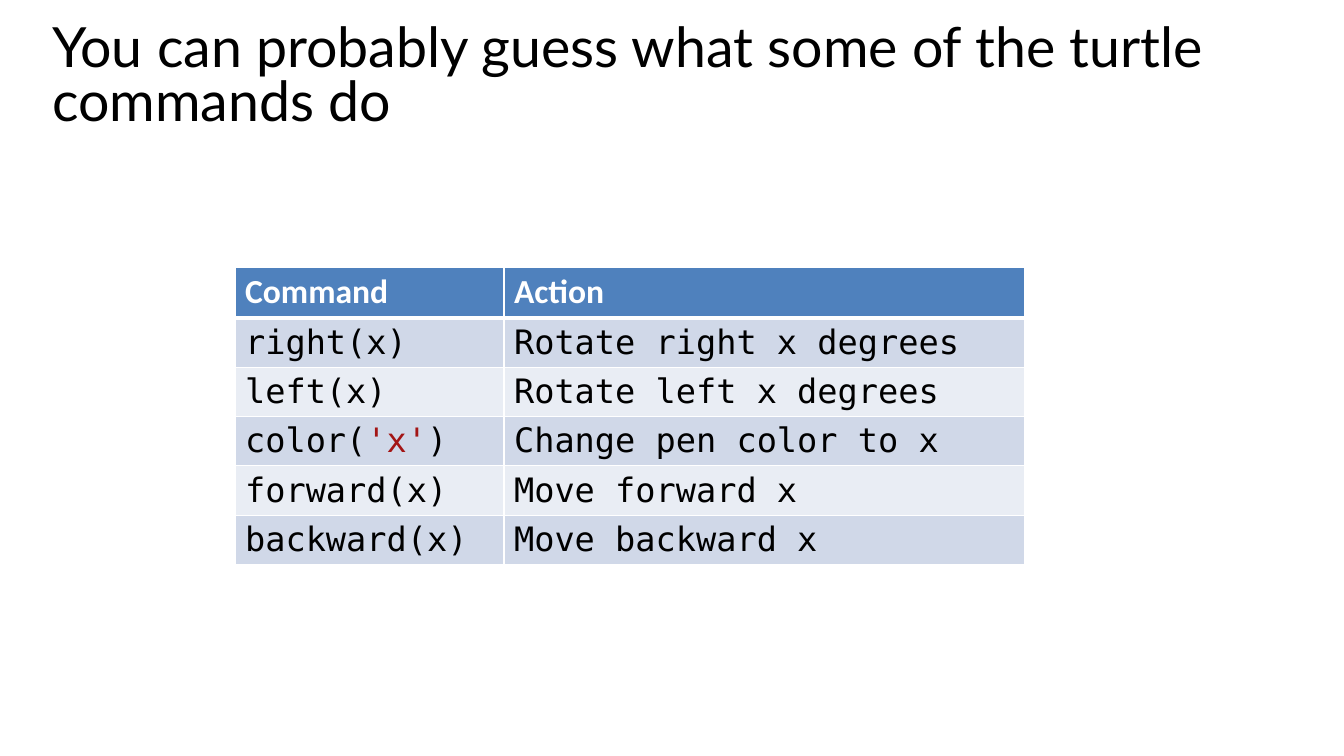
from pptx import Presentation
from pptx.dml.color import RGBColor
from pptx.enum.text import MSO_ANCHOR, MSO_AUTO_SIZE, PP_ALIGN
from pptx.oxml import parse_xml
from pptx.oxml.ns import nsdecls
from pptx.util import Pt

PX = 914400 / 100.8


def px(n):
    """Turn pixels into EMU."""
    return round(n * PX)


def add_run(p, text, font, size, color, bold=False):
    """Add one formatted run to a paragraph."""
    r = p.add_run()
    r.text = text
    r.font.name, r.font.size, r.font.bold = font, Pt(size), bold
    r.font.color.rgb = RGBColor.from_string(color)


prs = Presentation()
prs.slide_width, prs.slide_height = px(1344), px(756)
s = prs.slides.add_slide(prs.slide_layouts[5])

# Title
title = s.shapes.title
title.left, title.top, title.width, title.height = px(42), px(20), px(1270), px(117)
tf = title.text_frame
tf.word_wrap = True
tf.auto_size = MSO_AUTO_SIZE.NONE
tf.vertical_anchor = MSO_ANCHOR.MIDDLE
p = tf.paragraphs[0]
p.alignment = PP_ALIGN.LEFT
p.line_spacing = 0.8
add_run(p, "You can probably guess what some of the turtle commands do",
        "Lato", 39.6, "000000")

# Table of commands; each cell is a list of text pieces, quoted ones in red
rows = [
    (["Command"], ["Action"]),
    (["right(x)"], ["Rotate right x degrees"]),
    (["left(x)"], ["Rotate left x degrees"]),
    (["color(", "'x'", ")"], ["Change pen color to x"]),
    (["forward(x)"], ["Move forward x"]),
    (["backward(x)"], ["Move backward x"]),
]
frame = s.shapes.add_table(len(rows), 2, px(235), px(267), px(790), px(302))
table = frame.table
for column, width in zip(table.columns, (269, 521)):
    column.width = px(width)

for i, row in enumerate(rows):
    table.rows[i].height = px(41)
    header = i == 0
    fill = "4F81BD" if header else ("E9EDF4", "D0D8E8")[i % 2]
    font = "Calibri" if header else "DejaVu Sans Mono"
    for j, pieces in enumerate(row):
        cell = table.cell(i, j)
        p = cell.text_frame.paragraphs[0]
        for piece in pieces:
            color = "FFFFFF" if header else "A31515" if piece[0] == "'" else "000000"
            add_run(p, piece, font, 24, color, bold=header)
        tcPr = cell._tc.get_or_add_tcPr()
        for side in "LRTB":
            thick = (header and side == "B") or (i == 1 and side == "T")
            tcPr.append(parse_xml(
                f'<a:ln{side} {nsdecls("a")} w="{Pt(3 if thick else 1)}"><a:solidFill>'
                f'<a:srgbClr val="FFFFFF"/></a:solidFill></a:ln{side}>'))
        cell.fill.solid()
        cell.fill.fore_color.rgb = RGBColor.from_string(fill)
frame.height = px(302)

prs.save("out.pptx")
